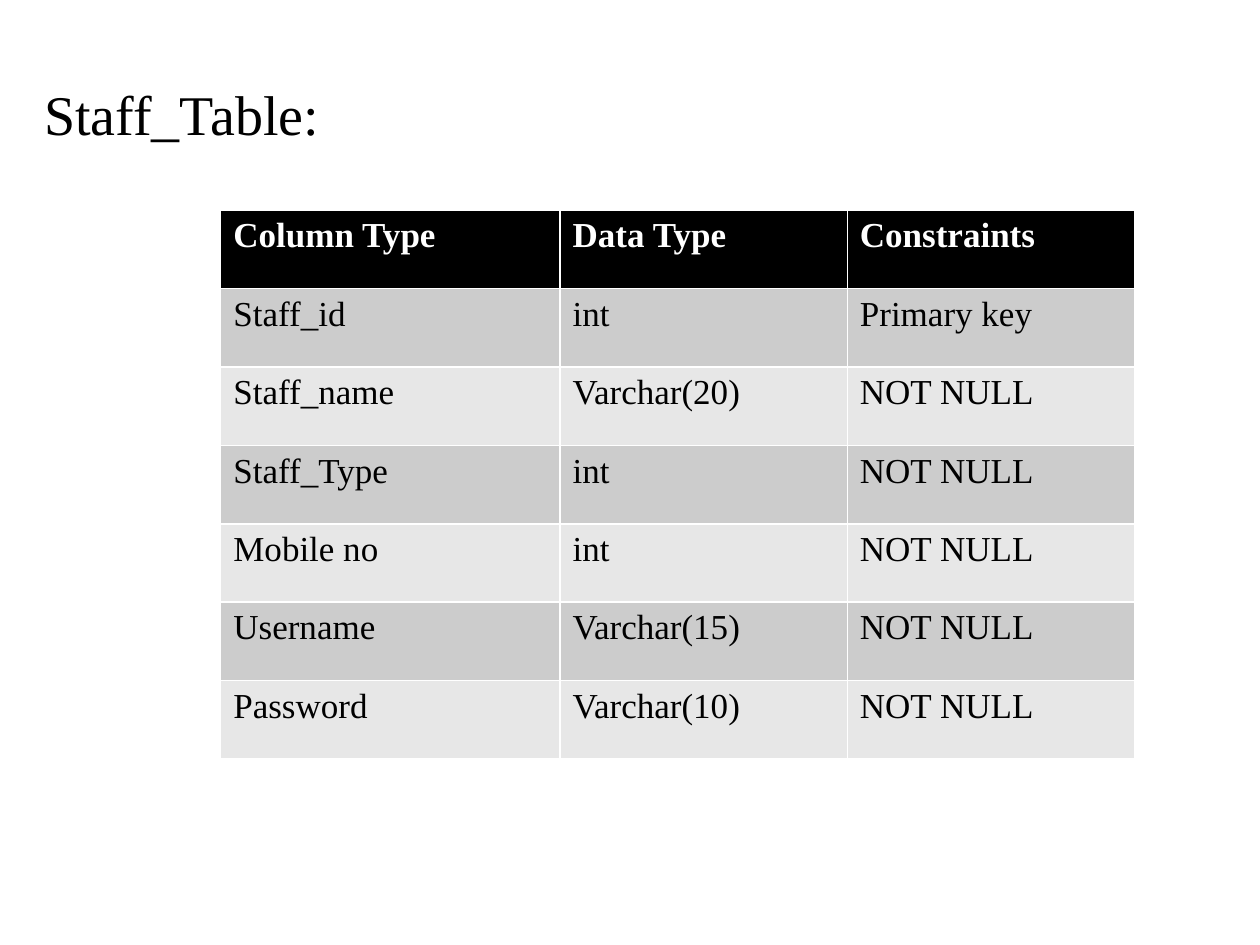
"""Build a slide that describes the columns of the staff table."""
from pptx import Presentation
from pptx.dml.color import RGBColor
from pptx.enum.text import MSO_AUTO_SIZE
from pptx.util import Cm, Pt

FIT_SHAPE = MSO_AUTO_SIZE.SHAPE_TO_FIT_TEXT
FONT = "Times New Roman"
COLORS = {
    "text": "000000",
    "header_text": "FFFFFF",
    "header": "000000",
    "odd_row": "CCCCCC",
    "even_row": "E7E7E7",
}
COLUMN_WIDTHS = [6.84, 5.79, 5.79]
ROW_HEIGHT = 1.58
STAFF_ROWS = [
    ("Column Type", "Data Type", "Constraints"),
    ("Staff_id", "int", "Primary key"),
    ("Staff_name", "Varchar(20)", "NOT NULL"),
    ("Staff_Type", "int", "NOT NULL"),
    ("Mobile no", "int", "NOT NULL"),
    ("Username", "Varchar(15)", "NOT NULL"),
    ("Password", "Varchar(10)", "NOT NULL"),
]


def color(name):
    """Return the named colour."""
    return RGBColor.from_string(COLORS[name])


def write_text(text_frame, text, size, color_name, bold=False):
    """Write one paragraph of text in the slide font."""
    paragraph = text_frame.paragraphs[0]
    paragraph.text = text
    paragraph.font.name = FONT
    paragraph.font.size = Pt(size)
    paragraph.font.bold = bold
    paragraph.font.color.rgb = color(color_name)


def add_title(slide, text):
    """Add the slide heading."""
    shape = slide.shapes.add_textbox(Cm(0.64), Cm(1.48), Cm(9.98), Cm(1.62))
    shape.text_frame.word_wrap = True
    shape.text_frame.auto_size = FIT_SHAPE
    write_text(shape.text_frame, text, 32, "text")


def add_staff_table(slide, rows):
    """Add a table with a dark header and alternating row fills."""
    shape = slide.shapes.add_table(
        len(rows), len(COLUMN_WIDTHS), Cm(4.45), Cm(4.24),
        Cm(sum(COLUMN_WIDTHS)), Cm(ROW_HEIGHT * len(rows)))
    table = shape.table
    for column, width in zip(table.columns, COLUMN_WIDTHS):
        column.width = Cm(width)
    for row_index, values in enumerate(rows):
        table.rows[row_index].height = Cm(ROW_HEIGHT)
        is_header = row_index == 0
        band = "odd_row" if row_index % 2 else "even_row"
        for cell, value in zip(table.rows[row_index].cells, values):
            cell.fill.solid()
            cell.fill.fore_color.rgb = color("header" if is_header else band)
            write_text(cell.text_frame, value, 20,
                       "header_text" if is_header else "text", is_header)


def main():
    """Build and save the presentation."""
    presentation = Presentation()
    presentation.slide_width = Cm(25.4)
    presentation.slide_height = Cm(19.05)
    slide = presentation.slides.add_slide(presentation.slide_layouts[6])
    add_staff_table(slide, STAFF_ROWS)
    add_title(slide, "Staff_Table:")
    presentation.save("out.pptx")


if __name__ == "__main__":
    main()
